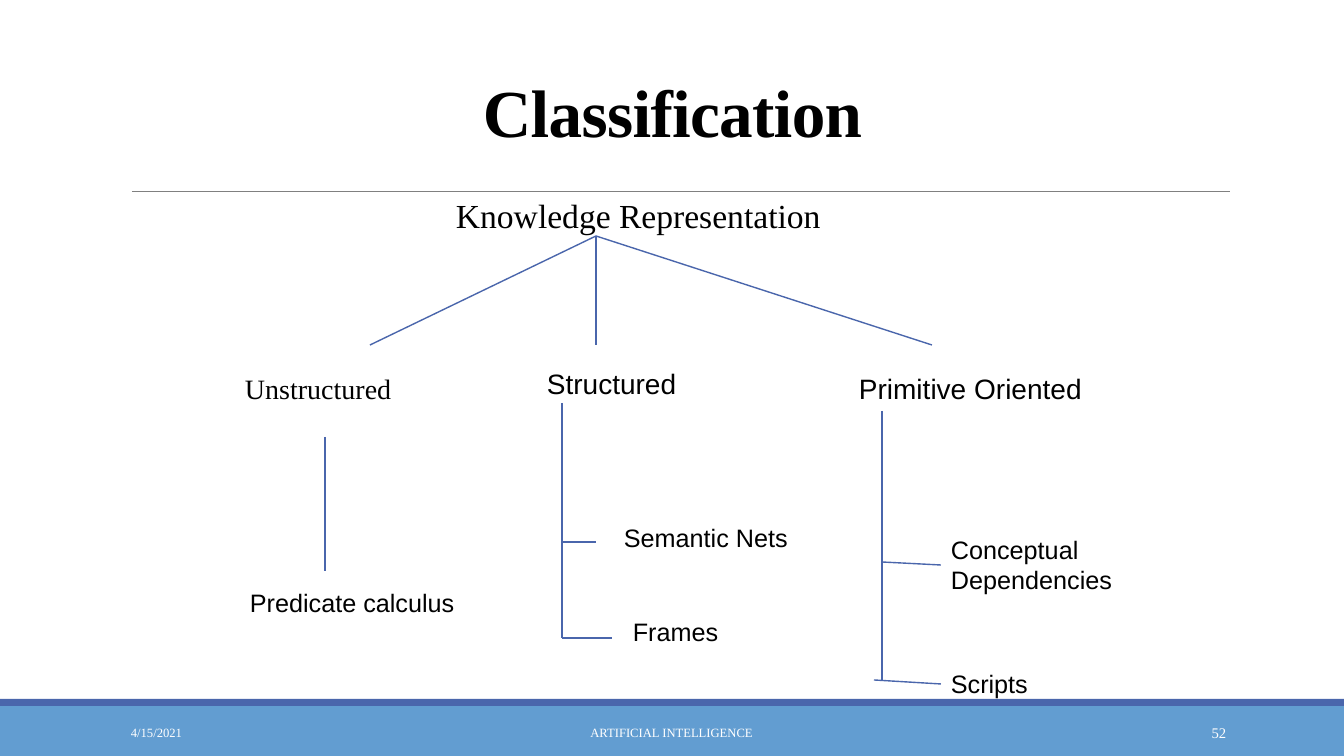
from dataclasses import dataclass

from lxml import etree
from pptx import Presentation
from pptx.dml.color import RGBColor
from pptx.enum.shapes import MSO_CONNECTOR, MSO_SHAPE
from pptx.enum.text import MSO_ANCHOR, MSO_AUTO_SIZE, PP_ALIGN
from pptx.oxml.ns import qn
from pptx.util import Pt

STRAIGHT = MSO_CONNECTOR.STRAIGHT
RECTANGLE = MSO_SHAPE.RECTANGLE
TOP, MIDDLE, BOTTOM = MSO_ANCHOR.TOP, MSO_ANCHOR.MIDDLE, MSO_ANCHOR.BOTTOM
LEFT, CENTER, RIGHT = PP_ALIGN.LEFT, PP_ALIGN.CENTER, PP_ALIGN.RIGHT
NO_AUTOFIT = MSO_AUTO_SIZE.NONE

EMU_PER_PX = 914400 / 100.8
PAGE_WIDTH, PAGE_HEIGHT = 1344, 756


@dataclass(frozen=True)
class Theme:
    ink: RGBColor = RGBColor(0, 0, 0)
    light: RGBColor = RGBColor(255, 255, 255)
    band: RGBColor = RGBColor(0x62, 0x9D, 0xD1)
    accent: RGBColor = RGBColor(0x4A, 0x66, 0xAC)
    rule: RGBColor = RGBColor(0x80, 0x80, 0x80)
    serif: str = "Times New Roman"
    sans: str = "Arial"
    title: float = 48
    root: float = 24
    branch: float = 20
    leaf: float = 18
    footer: float = 9
    number: float = 10.5


THEME = Theme()


def px(length):
    return round(length * EMU_PER_PX)


def style(para, size, font, color, align=LEFT):
    para.alignment = align
    para.font.size = Pt(size)
    para.font.name = font
    para.font.color.rgb = color


def add_line(page, start, end, color=THEME.accent, width=1):
    line = page.shapes.add_connector(STRAIGHT, *map(px, (*start, *end)))
    line.line.color.rgb = color
    line.line.width = Pt(width)
    etree.SubElement(line._element.spPr, qn("a:effectLst"))


def add_text(page, box, text, size, font=THEME.sans, color=THEME.ink,
             align=LEFT, anchor=TOP, wrap=False):
    frame = page.shapes.add_textbox(*map(px, box)).text_frame
    frame.word_wrap = wrap
    frame.vertical_anchor = anchor
    frame.text = text
    for para in frame.paragraphs:
        style(para, size, font, color, align)


def add_band(page, box, color):
    band = page.shapes.add_shape(RECTANGLE, *map(px, box))
    band.shadow.inherit = False
    band.fill.solid()
    band.fill.fore_color.rgb = color
    band.line.fill.background()


def add_heading(page, box):
    left, top, width, height = box
    title = page.shapes.title
    title.left, title.top, title.width, title.height = map(px, box)
    frame = title.text_frame
    frame.auto_size = NO_AUTOFIT
    frame.word_wrap = True
    frame.vertical_anchor = BOTTOM
    para = frame.paragraphs[0]
    span = para.add_run()
    span.text = "Classification"
    span._r.get_or_add_rPr().set("spc", "-50")
    style(para, THEME.title, THEME.serif, THEME.ink, CENTER)
    para.font.bold = True
    para.line_spacing = 0.85
    # Rule under the title
    rule_y = top + height + 35
    add_line(page, (left - 87, rule_y), (left + width + 104, rule_y), THEME.rule, 0.5)


def add_root(page, box):
    left, top, width, height = box
    add_text(page, box, "Knowledge Representation", THEME.root, THEME.serif)
    # Fan to the three branches
    apex = (left + 150, top + 46)
    for end_x in (370, 596, 932):
        add_line(page, apex, (end_x, top + 155))


def add_branch(page, box, name, font, lines, leaves):
    """Lines and leaf boxes are offsets from the branch's left top corner."""
    left, top, width, height = box
    add_text(page, box, name, THEME.branch, font)
    for x1, y1, x2, y2 in lines:
        add_line(page, (left + x1, top + y1), (left + x2, top + y2))
    for text, x, y, leaf_width, leaf_height in leaves:
        add_text(page, (left + x, top + y, leaf_width, leaf_height), text, THEME.leaf)


def add_footer(page, box):
    left, top, width, height = box
    add_band(page, box, THEME.band)
    add_band(page, (left, top - 7, width, 7), THEME.accent)
    cells = (
        ("4/15/2021", 121, 272, THEME.footer, LEFT),
        ("ARTIFICIAL INTELLIGENCE", 406, 531, THEME.footer, CENTER),
        ("52", 1092, 144, THEME.number, RIGHT),
    )
    for text, x, cell_width, size, align in cells:
        add_text(page, (left + x, top + 7, cell_width, 40), text, size, THEME.serif,
                 THEME.light, align, MIDDLE, True)


def main():
    deck = Presentation()
    deck.slide_width, deck.slide_height = px(PAGE_WIDTH), px(PAGE_HEIGHT)
    page = deck.slides.add_slide(deck.slide_layouts[5])

    add_footer(page, (0, 706, PAGE_WIDTH, 50))
    add_heading(page, (219, 30, 907, 126))
    add_root(page, (446, 190, 392, 51))
    add_branch(
        page, (235, 367, 172, 44), "Unstructured", THEME.serif,
        lines=[(90, 70, 90, 204)],
        leaves=[("Predicate calculus", 5, 215, 232, 41)])
    add_branch(
        page, (537, 362, 158, 44), "Structured", THEME.sans,
        lines=[(25, 41, 25, 276), (25, 180, 59, 180), (25, 276, 75, 276)],
        leaves=[("Semantic Nets", 77, 155, 190, 41), ("Frames", 86, 249, 112, 40)])
    add_branch(
        page, (849, 367, 248, 44), "Primitive Oriented", THEME.sans,
        lines=[(33, 44, 33, 313), (33, 195, 92, 198), (25, 313, 92, 317)],
        leaves=[("Conceptual\nDependencies", 92, 162, 188, 72),
                ("Scripts", 92, 296, 102, 40)])
    deck.save("out.pptx")


if __name__ == "__main__":
    main()
